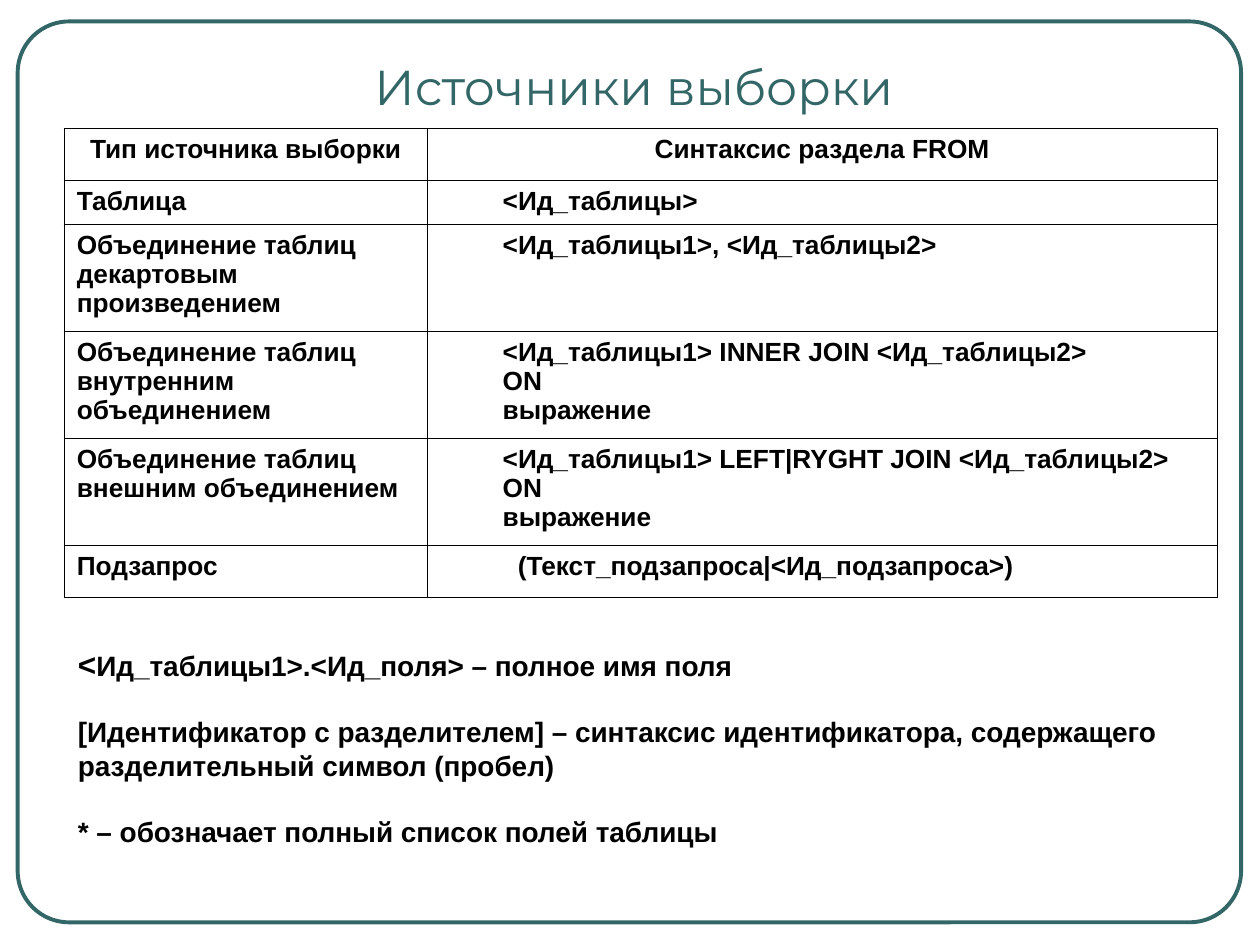
from lxml.etree import SubElement as Sub
from pptx import Presentation
from pptx.dml.color import RGBColor
from pptx.enum.shapes import MSO_SHAPE as Shape
from pptx.enum.text import MSO_ANCHOR as Anchor, MSO_AUTO_SIZE as Fit, PP_ALIGN as Align
from pptx.oxml.ns import qn
from pptx.util import Inches, Pt

TEAL = RGBColor(0x33, 0x66, 0x66)
BLACK = RGBColor(0, 0, 0)
WHITE = RGBColor(255, 255, 255)

TITLE = "Источники выборки"
HEAD = ("Тип источника выборки", "Синтаксис раздела FROM")
# Source type, syntax lines, left indent of the syntax, row height
ROWS = [
    ("Таблица", ["<Ид_таблицы>"], 0.5, 0.35),
    ("Объединение таблиц декартовым произведением",
     ["<Ид_таблицы1>, <Ид_таблицы2>"], 0.5, 0.85),
    ("Объединение таблиц внутренним объединением",
     ["<Ид_таблицы1> INNER JOIN <Ид_таблицы2>", "ON", "выражение"], 0.5, 0.85),
    ("Объединение таблиц внешним объединением",
     ["<Ид_таблицы1> LEFT|RYGHT JOIN <Ид_таблицы2> ON", "выражение"], 0.5, 0.85),
    ("Подзапрос", ["(Текст_подзапроса|<Ид_подзапроса>)"], 0.62, 0.41),
]
HEAD_H = 0.41
COLS = (2.88, 6.27)
# Each note is a list of (text, size) runs
NOTES = [
    [("<", 18), ("Ид_таблицы1>.<Ид_поля> – полное имя поля", 16)],
    [("[Идентификатор с разделителем] – синтаксис идентификатора, "
      "содержащего разделительный символ (пробел)", 16)],
    [("* – обозначает полный список полей таблицы", 16)],
]


def box(*nums):
    return [Inches(n) for n in nums]


def style(font, size, color=BLACK, name="Arial", bold=True):
    font.size, font.name, font.bold = Pt(size), name, bold
    font.color.rgb = color


def border(cell):
    props = cell._tc.get_or_add_tcPr()
    for side in ("lnL", "lnR", "lnT", "lnB"):
        line = Sub(props, qn(f"a:{side}"), w=str(Pt(0.75)))
        Sub(Sub(line, qn("a:solidFill")), qn("a:srgbClr"), val=str(BLACK))


def write(cell, lines, indent=0, align=Align.LEFT):
    border(cell)
    cell.fill.solid()
    cell.fill.fore_color.rgb = WHITE
    cell.text_frame.text = "\n".join(lines)
    for par in cell.text_frame.paragraphs:
        par.alignment = align
        if indent:
            par.level = 1
            par._p.get_or_add_pPr().set("marL", str(Inches(indent)))
        style(par.font, 15)


deck = Presentation()
deck.slide_width, deck.slide_height = box(10, 7.5)
slide = deck.slides.add_slide(deck.slide_layouts[5])
shapes = slide.shapes

# Title
title = shapes.title
title.left, title.top, title.width, title.height = box(0.82, 0.4, 8.42, 0.73)
frame = title.text_frame
frame.text = TITLE
frame.auto_size = Fit.NONE
frame.vertical_anchor = Anchor.TOP
frame.paragraphs[0].alignment = Align.CENTER
style(frame.paragraphs[0].font, 28, TEAL, "Montserrat", False)

# Rounded frame, behind everything else
edge = shapes.add_shape(Shape.ROUNDED_RECTANGLE, *box(0.14, 0.17, 9.71, 7.15))
edge.adjustments[0] = 0.057
edge.shadow.inherit = False
edge.fill.background()
edge.line.color.rgb = TEAL
edge.line.width = Pt(2.25)
title._element.addprevious(edge._element)

# Table of sources
tall = [HEAD_H] + [row[-1] for row in ROWS]
table = shapes.add_table(len(tall), len(COLS),
                         *box(0.51, 1.02, sum(COLS), sum(tall))).table
table.first_row = table.horz_banding = False
for col, width in zip(table.columns, COLS):
    col.width = Inches(width)
for row, height in zip(table.rows, tall):
    row.height = Inches(height)
for c, text in enumerate(HEAD):
    write(table.cell(0, c), [text], align=Align.CENTER)
for r, (kind, lines, indent, _) in enumerate(ROWS, 1):
    write(table.cell(r, 0), [kind])
    write(table.cell(r, 1), lines, indent)

# Notes below the table
frame = shapes.add_textbox(*box(0.52, 5.07, 9.06, 1.74)).text_frame
frame.word_wrap = True
frame.auto_size = Fit.SHAPE_TO_FIT_TEXT
for i, note in enumerate(NOTES):
    par = frame.add_paragraph() if i else frame.paragraphs[0]
    par.space_before = Pt(18.4 if i else 0)
    style(par.font, 16)
    for text, size in note:
        run = par.add_run()
        run.text = text
        if size != 16:
            run.font.size = Pt(size)

deck.save("out.pptx")
